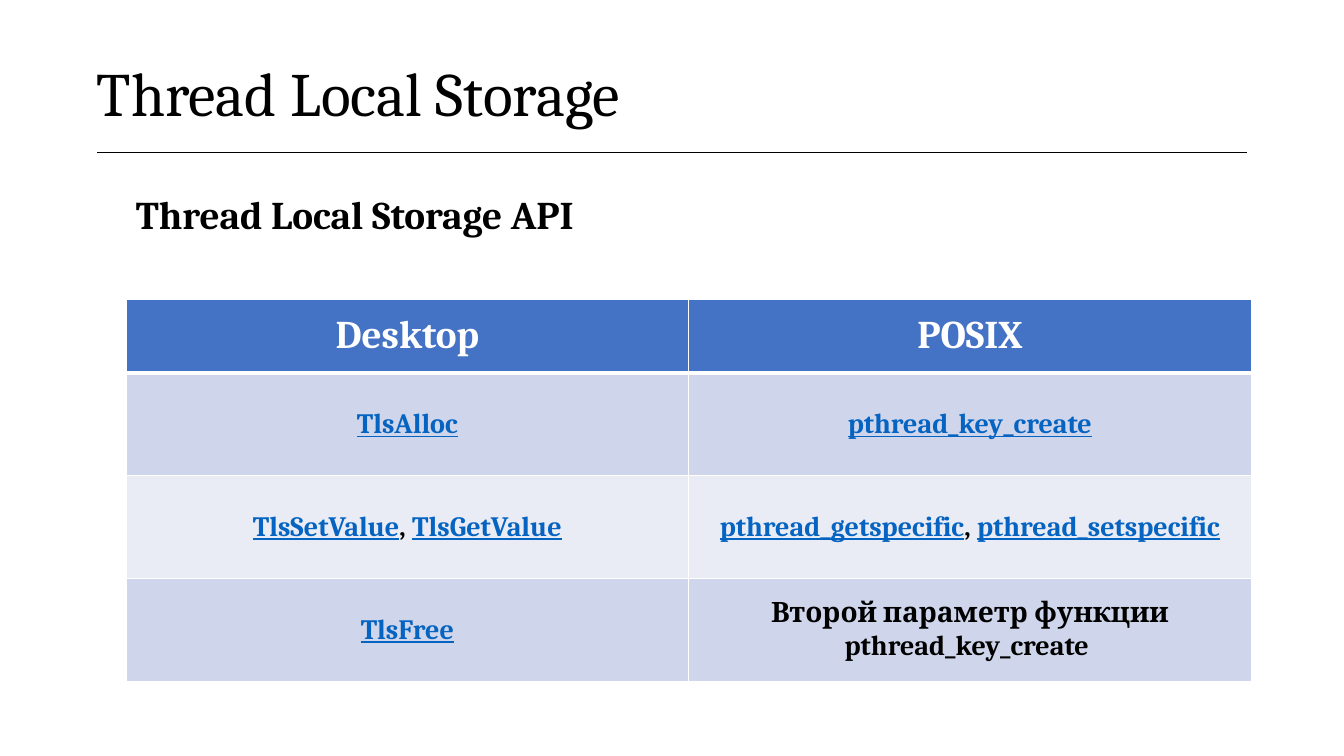
from lxml import etree
from pptx import Presentation
from pptx.dml.color import RGBColor
from pptx.enum.text import MSO_ANCHOR, MSO_AUTO_SIZE, PP_ALIGN
from pptx.oxml.ns import qn
from pptx.util import Inches, Pt

MIDDLE = MSO_ANCHOR.MIDDLE
GROW = MSO_AUTO_SIZE.SHAPE_TO_FIT_TEXT
CENTER = PP_ALIGN.CENTER
FONT = "Cambria"
COLORS = {
    "black": "000000",
    "white": "FFFFFF",
    "header": "4472C4",
    "odd_row": "CFD5EA",
    "even_row": "E9EBF5",
    "function": "0563C1",
}


def add_run(paragraph, text, size, color, bold=True, underline=False):
    run = paragraph.add_run()
    run.text = text
    font = run.font
    font.name = FONT
    font.size = Pt(size)
    font.bold = bold
    font.underline = underline
    font.color.rgb = RGBColor.from_string(COLORS[color])


def add_border(cell, side, color, points):
    properties = cell._tc.get_or_add_tcPr()
    line = etree.SubElement(properties, qn(f"a:ln{side}"), w=str(Pt(points)))
    fill = etree.SubElement(line, qn("a:solidFill"))
    etree.SubElement(fill, qn("a:srgbClr"), val=COLORS[color])


presentation = Presentation()
presentation.slide_width = Inches(13.33)
presentation.slide_height = Inches(7.5)
slide = presentation.slides.add_slide(presentation.slide_layouts[6])

title_table = slide.shapes.add_table(
    1, 1, Inches(0.96), Inches(0.4), Inches(11.41), Inches(1.11)
).table
title_table.first_row = False
title_table.horz_banding = False
title_cell = title_table.cell(0, 0)
title_cell.margin_left = title_cell.margin_right = 0
title_cell.margin_top = title_cell.margin_bottom = 0
title_cell.vertical_anchor = MIDDLE
add_border(title_cell, "B", "black", 1)
title_cell.fill.background()
add_run(title_cell.text_frame.paragraphs[0], "Thread Local Storage", 44, "black", bold=False)

api_rows = [
    [["TlsAlloc"], ["pthread_key_create"]],
    [["TlsSetValue", "TlsGetValue"], ["pthread_getspecific", "pthread_setspecific"]],
    [["TlsFree"], "Второй параметр функции pthread_key_create "],
]
table_rows = [["Desktop", "POSIX"]] + api_rows
row_heights = [0.73, 1.02, 1.02, 1.02]
row_fills = ["header", "odd_row", "even_row", "odd_row"]

api_table = slide.shapes.add_table(
    4, 2, Inches(1.25), Inches(2.97), Inches(11.16), Inches(sum(row_heights))
).table
for row_index, contents in enumerate(table_rows):
    api_table.rows[row_index].height = Inches(row_heights[row_index])
    is_header = row_index == 0
    for column_index, content in enumerate(contents):
        cell = api_table.cell(row_index, column_index)
        cell.vertical_anchor = MIDDLE
        for side in "LRTB":
            beside_header = (row_index, side) in [(0, "B"), (1, "T")]
            add_border(cell, side, "white", 3 if beside_header else 1)
        cell.fill.solid()
        cell.fill.fore_color.rgb = RGBColor.from_string(COLORS[row_fills[row_index]])
        paragraph = cell.text_frame.paragraphs[0]
        paragraph.alignment = CENTER
        if is_header:
            add_run(paragraph, content, 28, "white")
        elif isinstance(content, str):
            add_run(paragraph, content, 20, "black")
        else:
            for function_index, function_name in enumerate(content):
                if function_index:
                    add_run(paragraph, ", ", 20, "black")
                add_run(paragraph, function_name, 20, "function", underline=True)

heading = slide.shapes.add_textbox(Inches(1.25), Inches(1.84), Inches(6.67), Inches(0.57))
heading.text_frame.word_wrap = True
heading.text_frame.auto_size = GROW
add_run(heading.text_frame.paragraphs[0], "Thread Local Storage API", 28, "black")

presentation.save("out.pptx")
